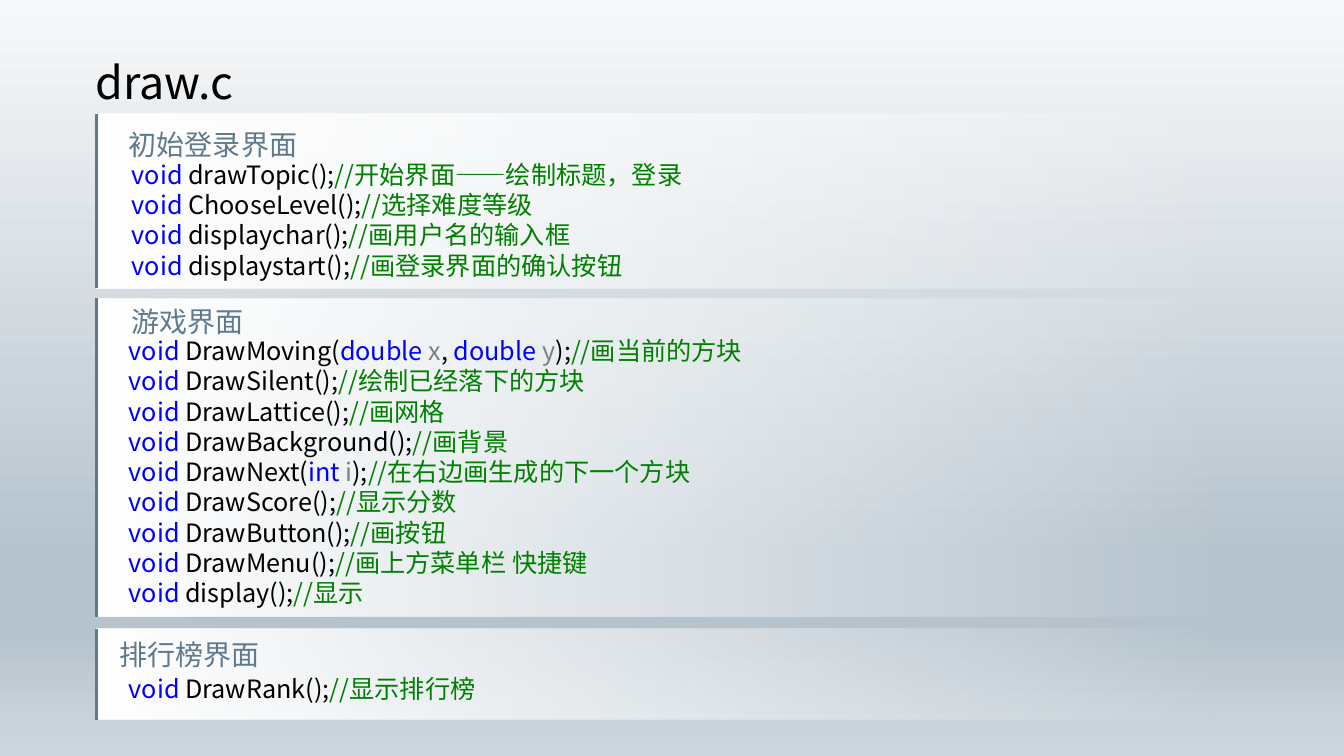
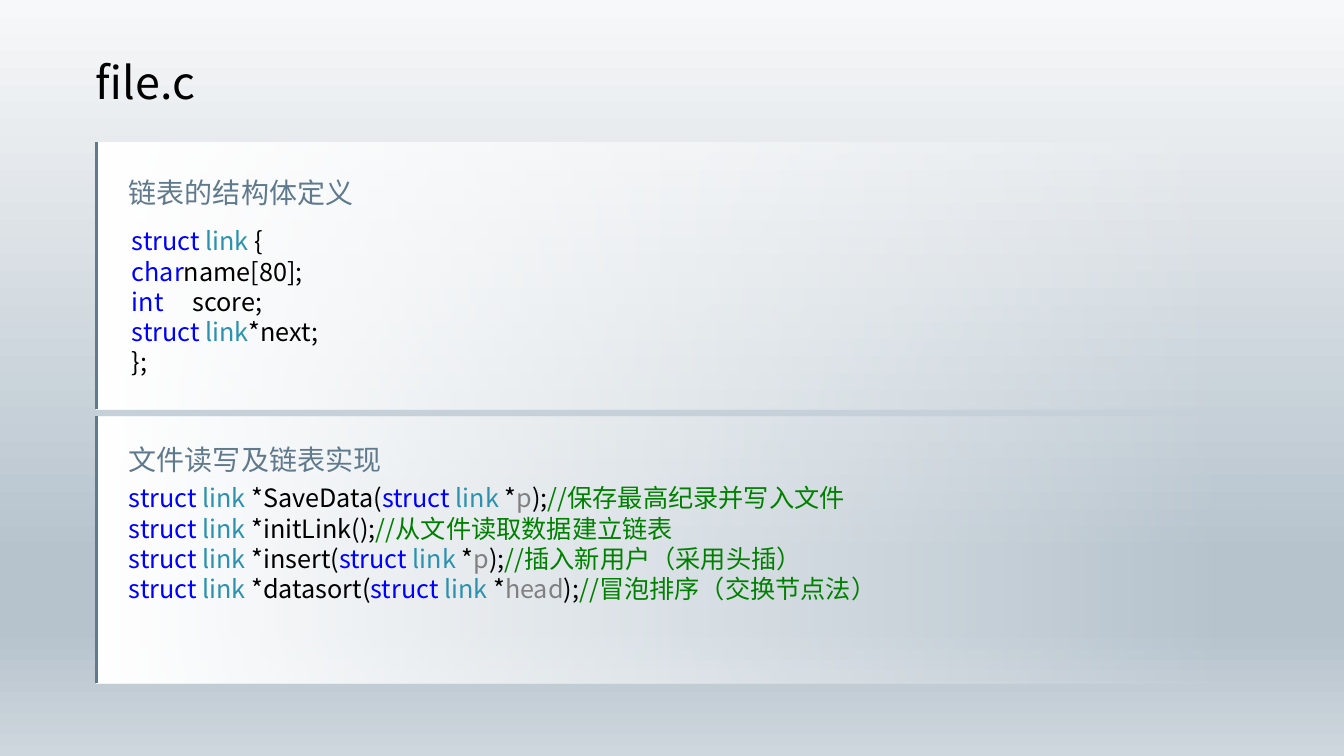
"""Build two slides that list the functions of draw.c and file.c."""
from dataclasses import dataclass
from itertools import groupby

from lxml.etree import SubElement
from pptx import Presentation
from pptx.dml.color import RGBColor
from pptx.enum.shapes import MSO_CONNECTOR, MSO_SHAPE
from pptx.enum.text import MSO_ANCHOR, MSO_AUTO_SIZE, PP_ALIGN
from pptx.oxml.ns import qn
from pptx.util import Inches, Pt

FONT = "Noto Sans CJK SC"
COLORS = {
    "text": "000000",
    "accent": "607A8D",
    "keyword": "0000FF",
    "type": "2B91AF",
    "param": "808080",
    "comment": "008000",
}
BACKDROP = [(0, "F7F8F9", 100), (74, "B6C3CD", 100), (83, "B6C3CD", 100), (100, "CED7DE", 100)]
FADE = [(0, "FFFFFF", 100), (96, "FFFFFF", 0)]
WORDS = {
    **dict.fromkeys(["void", "double", "int", "char", "struct"], "keyword"),
    **dict.fromkeys(["x", "y", "i", "p", "head"], "param"),
    "link": "type",
}
JOIN = "`"
PANEL_X, PANEL_W = 0.96, 11.55


@dataclass
class Panel:
    top: float
    height: float
    heading: str
    heading_at: tuple[float, float]
    code_at: tuple[float, float, float, float]
    code: list[str]
    spacing: float = 1.0


def set_gradient(fill, owner, stops: list, angle: float) -> None:
    fill.gradient()
    fill.gradient_angle = angle
    stop_list = owner.find(".//" + qn("a:gsLst"))
    for old in list(stop_list):
        stop_list.remove(old)
    for pos, color, alpha in stops:
        gs = SubElement(stop_list, qn("a:gs"), pos=str(pos * 1000))
        clr = SubElement(gs, qn("a:srgbClr"), val=color)
        if alpha < 100:
            SubElement(clr, qn("a:alpha"), val=str(alpha * 1000))


def add_run(p, text: str, *, size: float, color: str) -> None:
    r = p.add_run()
    r.text = text
    r.font.size = Pt(size)
    r.font.color.rgb = RGBColor.from_string(COLORS[color])
    r.font.name = FONT
    SubElement(r.font._element, qn("a:ea"), typeface=FONT)


def highlight(line: str) -> list[tuple[str, str]]:
    """Split a line of C into pieces of text and their colour names."""
    code, slashes, comment = line.partition("//")
    words = ["".join(chars) for _, chars in groupby(code, str.isalnum)]
    pieces = [(word, WORDS.get(word, "text")) for word in words if word != JOIN]
    if slashes:
        pieces.append((slashes + comment, "comment"))
    return pieces


def write_lines(s, at: tuple, lines: list, *, size: float, spacing: float = 1.0) -> None:
    tf = s.shapes.add_textbox(*map(Inches, at)).text_frame
    tf.word_wrap = True
    tf.auto_size = MSO_AUTO_SIZE.SHAPE_TO_FIT_TEXT
    for n, pieces in enumerate(lines):
        p = tf.add_paragraph() if n else tf.paragraphs[0]
        p.line_spacing = spacing
        if any("\t" in text for text, _ in pieces):
            tabs = SubElement(p._p.get_or_add_pPr(), qn("a:tabLst"))
            SubElement(tabs, qn("a:tab"), pos=str(Inches(0.6)), algn="l")
        for text, color in pieces:
            add_run(p, text, size=size, color=color)


def add_panel(s, panel: Panel) -> None:
    left, top, width, height = map(Inches, (PANEL_X, panel.top, PANEL_W, panel.height))
    sp = s.shapes.add_shape(MSO_SHAPE.RECTANGLE, left, top, width, height)
    sp.shadow.inherit = False
    sp.line.fill.background()
    set_gradient(sp.fill, sp._element, FADE, 0)

    bar = s.shapes.add_connector(MSO_CONNECTOR.STRAIGHT, left, top, left, top + height)
    bar.line.color.rgb = RGBColor.from_string(COLORS["accent"])
    bar.line.width = Pt(2.25)
    SubElement(bar._element.spPr, qn("a:effectLst"))

    heading = [[(panel.heading, "accent")]]
    write_lines(s, (*panel.heading_at, 3.06, 0.48), heading, size=20, spacing=1.2)
    code = [highlight(line) for line in panel.code]
    write_lines(s, panel.code_at, code, size=18, spacing=panel.spacing)


def add_slide(prs, title: str, panels: list[Panel]) -> None:
    s = prs.slides.add_slide(prs.slide_layouts[5])
    sp = s.shapes.title
    sp.left, sp.top, sp.width, sp.height = map(Inches, (0.85, 0.49, 5.51, 0.64))
    tf = sp.text_frame
    tf.word_wrap = True
    tf.auto_size = MSO_AUTO_SIZE.SHAPE_TO_FIT_TEXT
    tf.vertical_anchor = MSO_ANCHOR.TOP
    p = tf.paragraphs[0]
    p.alignment = PP_ALIGN.LEFT
    add_run(p, title, size=32, color="text")
    for panel in panels:
        add_panel(s, panel)


DRAW_PANELS = [
    Panel(1.13, 1.73, "初始登录界面", (1.18, 1.15), (1.21, 1.53, 11.04, 1.31), [
        "void drawTopic();//开始界面——绘制标题，登录",
        "void ChooseLevel();//选择难度等级",
        "void displaychar();//画用户名的输入框",
        "void displaystart();//画登录界面的确认按钮",
    ]),
    Panel(2.96, 3.16, "游戏界面", (1.21, 2.91), (1.18, 3.28, 10.21, 2.83), [
        "void DrawMoving(double x, double y);//画当前的方块",
        "void DrawSilent();//绘制已经落下的方块",
        "void DrawLattice();//画网格",
        "void DrawBackground();//画背景",
        "void DrawNext(int i);//在右边画生成的下一个方块",
        "void DrawScore();//显示分数",
        "void DrawButton();//画按钮",
        "void DrawMenu();//画上方菜单栏 快捷键",
        "void display();//显示",
    ]),
    Panel(6.24, 0.9, "排行榜界面", (1.09, 6.21), (1.18, 6.57, 4.62, 0.43), [
        "void DrawRank();//显示排行榜",
    ], spacing=1.2),
]
FILE_PANELS = [
    Panel(1.41, 2.65, "链表的结构体定义", (1.18, 1.63), (1.21, 2.19, 11.04, 1.62), [
        "struct link {",
        "char`name[80];",
        "int\tscore;",
        "struct link*next;",
        "};",
    ]),
    Panel(4.13, 2.65, "文件读写及链表实现", (1.18, 4.27), (1.18, 4.74, 10.21, 1.31), [
        "struct link *SaveData(struct link *p);//保存最高纪录并写入文件",
        "struct link *initLink();//从文件读取数据建立链表",
        "struct link *insert(struct link *p);//插入新用户（采用头插）",
        "struct link *datasort(struct link *head);//冒泡排序（交换节点法）",
    ]),
]


def main() -> None:
    prs = Presentation()
    prs.slide_width, prs.slide_height = Inches(13.33), Inches(7.5)
    master = prs.slide_master
    set_gradient(master.background.fill, master.element, BACKDROP, 270)
    add_slide(prs, "draw.c", DRAW_PANELS)
    add_slide(prs, "file.c", FILE_PANELS)
    prs.save("out.pptx")


if __name__ == "__main__":
    main()
